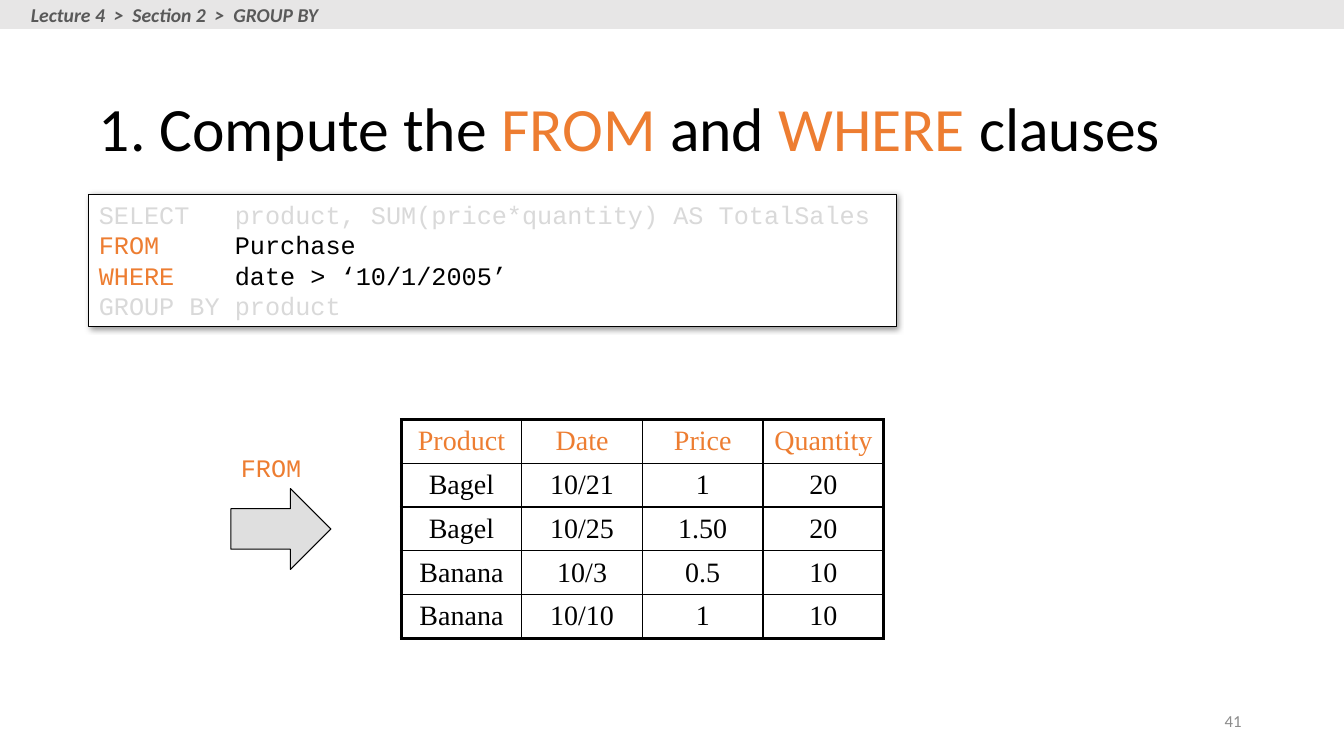
"""Build the slide on computing the FROM and WHERE clauses."""
from lxml import etree
from pptx import Presentation
from pptx.dml.color import RGBColor
from pptx.enum.shapes import MSO_SHAPE
from pptx.enum.text import MSO_ANCHOR, PP_ALIGN
from pptx.oxml import parse_xml
from pptx.oxml.ns import nsdecls, qn
from pptx.util import Cm, Pt

RECT, ARROW = MSO_SHAPE.RECTANGLE, MSO_SHAPE.RIGHT_ARROW
LEFT, MID, RIGHT = PP_ALIGN.LEFT, PP_ALIGN.CENTER, PP_ALIGN.RIGHT
TOP, CENTRE = MSO_ANCHOR.TOP, MSO_ANCHOR.MIDDLE
SANS, MONO, SERIF = "Calibri", "Courier New", "Times New Roman"
HEX = {"black": "000000", "white": "FFFFFF", "key": "ED7D31", "dim": "D9D9D9",
       "bar": "E7E6E6", "crumb": "595959", "page": "8C8C8C", "arrow": "C0C0C0"}

CRUMB = [[("Lecture 4  >  Section 2  >  GROUP BY", "crumb")]]
TITLE = [[("1. Compute the ", "black"), ("FROM", "key"), (" and ", "black"),
          ("WHERE", "key"), (" clauses", "black")]]
QUERY = [
    [("SELECT   product, SUM(price*quantity) AS TotalSales", "dim")],
    [("FROM     ", "key"), ("Purchase", "black")],
    [("WHERE    ", "key"), ("date > ‘10/1/2005’", "black")],
    [("GROUP BY product", "dim")],
]
STEP = [[("FROM", "key")]]
PAGE = [[("41", "page")]]
ROWS = [
    ("Product", "Date", "Price", "Quantity"),
    ("Bagel", "10/21", "1", "20"),
    ("Bagel", "10/25", "1.50", "20"),
    ("Banana", "10/3", "0.5", "10"),
    ("Banana", "10/10", "1", "10"),
]
COL, ROW = Cm(3.04), Cm(1.07)
THIN, THICK = Pt(1), Pt(2.25)


def rgb(name):
    return RGBColor.from_string(HEX[name])


def write(frame, lines, size=18, face=SANS, align=LEFT, anchor=TOP,
          wrap=True, bold=False, slant=False, space=1):
    frame.word_wrap = wrap
    frame.vertical_anchor = anchor
    for i, line in enumerate(lines):
        para = frame.add_paragraph() if i else frame.paragraphs[0]
        para.alignment, para.line_spacing = align, space
        for text, tone in line:
            run = para.add_run()
            run.text = text
            font = run.font
            font.name, font.size = face, Pt(size)
            font.bold, font.italic = bold, slant
            font.color.rgb = rgb(tone)


def draw(kind, box, fill, line=None):
    item = slide.shapes.add_shape(kind, *map(Cm, box))
    item.shadow.inherit = False
    item.fill.solid()
    item.fill.fore_color.rgb = rgb(fill)
    if line:
        item.line.color.rgb = rgb(line)
        item.line.width = Pt(0.75)
    else:
        item.line.fill.background()
    return item


def label(box, lines, **form):
    write(slide.shapes.add_textbox(*map(Cm, box)).text_frame, lines, **form)


def edge(cell, side, width):
    cell._tc.get_or_add_tcPr().append(parse_xml(
        f'<a:ln{side} {nsdecls("a")} w="{width}"><a:solidFill>'
        f'<a:srgbClr val="{HEX["black"]}"/></a:solidFill></a:ln{side}>'))


deck = Presentation()
deck.slide_width, deck.slide_height = Cm(33.87), Cm(19.05)
slide = deck.slides.add_slide(deck.slide_layouts[5])

title = slide.shapes.title
title.left, title.top, title.width, title.height = map(Cm, (2.24, 1.73, 27.91, 3.18))
write(title.text_frame, TITLE, size=44, anchor=CENTRE, space=0.9)

draw(RECT, (0, 0, 33.87, 0.73), "bar")
label((0.53, -0.05, 7.92, 0.86), CRUMB, size=14, wrap=False, bold=True, slant=True)

query = draw(RECT, (2.24, 4.9, 20.35, 3.33), "white", "black")
write(query.text_frame, QUERY, face=MONO)
query._element.spPr.find(qn("a:effectLst")).append(parse_xml(
    f'<a:outerShdw {nsdecls("a")} blurRad="{Pt(4)}" dist="{Pt(1.5)}" dir="2700000" '
    f'algn="tl" rotWithShape="0"><a:srgbClr val="{HEX["black"]}">'
    '<a:alpha val="40000"/></a:srgbClr></a:outerShdw>'))

arrow = draw(ARROW, (5.82, 12.31, 2.52, 2.04), "arrow", "black")
tone = arrow._element.spPr.find(qn("a:solidFill"))[0]
etree.SubElement(tone, qn("a:alpha")).set("val", "50000")
label((5.82, 11.28, 2.05, 1.02), STEP, face=MONO, wrap=False)

high, wide = len(ROWS), len(ROWS[0])
grid = slide.shapes.add_table(high, wide, Cm(10.11), Cm(10.57),
                              COL * wide, ROW * high).table
grid.first_row = grid.horz_banding = False
for col in grid.columns:
    col.width = COL
for r, row in enumerate(ROWS):
    grid.rows[r].height = ROW
    for c, text in enumerate(row):
        cell = grid.cell(r, c)
        rims = {"L": c == 0, "R": c == wide - 1, "T": r == 0, "B": r == high - 1}
        for side, outer in rims.items():
            edge(cell, side, THICK if outer else THIN)
        cell.fill.background()
        cell.vertical_anchor = CENTRE
        write(cell.text_frame, [[(text, "black" if r else "key")]],
              size=20, face=SERIF, align=MID, anchor=None, wrap=None)

label((23.92, 17.65, 7.62, 1.01), PAGE, size=12, align=RIGHT, anchor=CENTRE)

deck.save("out.pptx")
